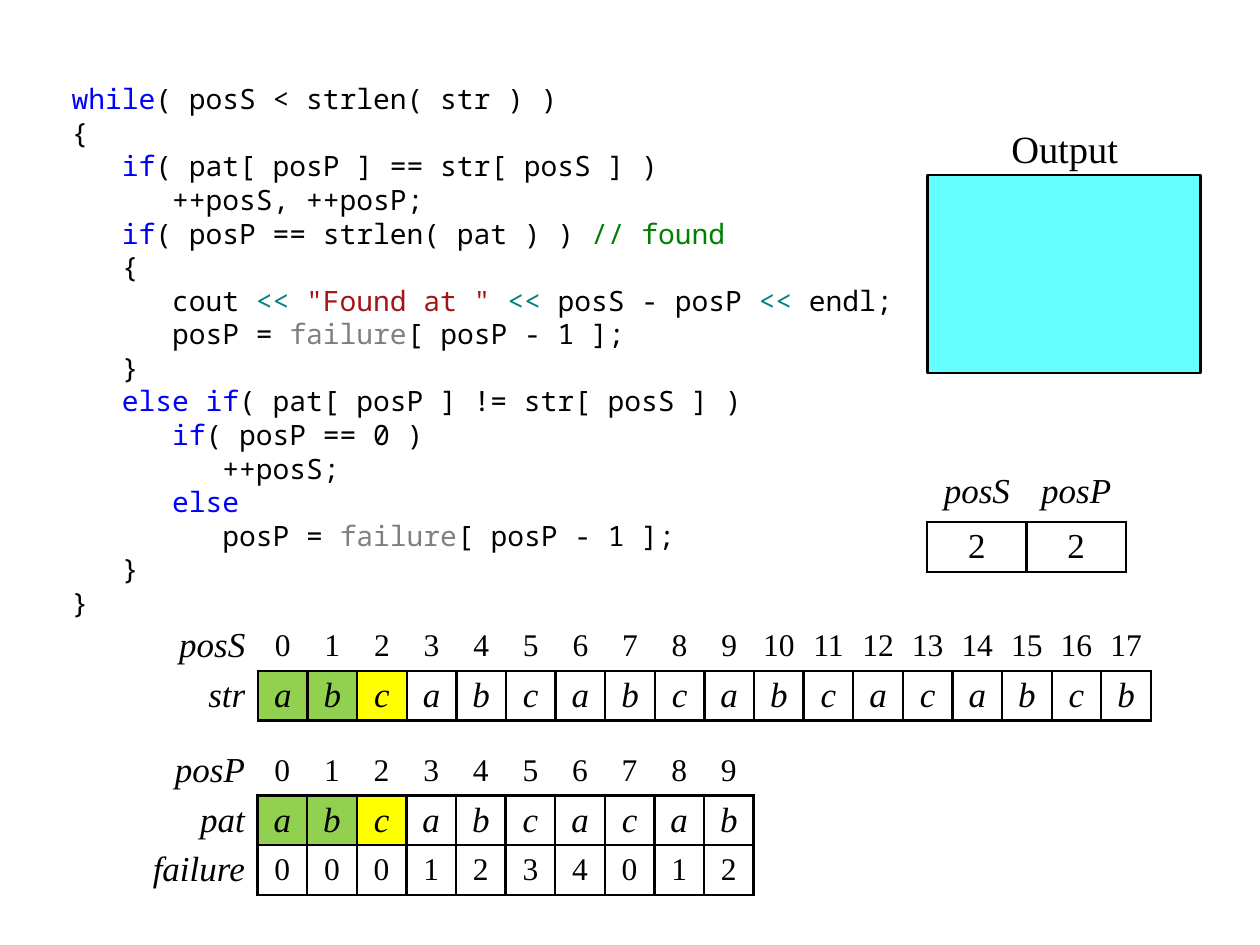
from lxml import etree
from pptx import Presentation
from pptx.dml.color import RGBColor
from pptx.enum.shapes import MSO_SHAPE
from pptx.enum.text import MSO_ANCHOR, PP_ALIGN
from pptx.oxml.ns import qn
from pptx.util import Cm, Inches, Pt

SERIF, MONO = "Times New Roman", "Noto Sans Mono"
BLACK, GREEN, YELLOW, WHITE, CYAN = "000000", "92D050", "FFFF00", "FFFFFF", "66FFFF"
HUES = {"key": "0000FF", "note": "008000", "op": "008080", "lit": "A31515", "name": "808080"}

# Code lines: plain strings are black, pairs name a hue
IF, OUT, FAIL = ("key", "if"), ("op", "<< "), ("name", "failure")
CODE = [
    [("key", "while"), "( posS < strlen( str ) )"],
    ["{"],
    ["   ", IF, "( pat[ posP ] == str[ posS ] )"],
    ["      ++posS, ++posP;"],
    ["   ", IF, "( posP == strlen( pat ) ) ", ("note", "// found")],
    ["   {"],
    ["      cout ", OUT, ("lit", '"Found at " '), OUT, "posS - posP ", OUT, "endl;"],
    ["      posP = ", FAIL, "[ posP - 1 ];"],
    ["   }"],
    ["   ", ("key", "else if"), "( pat[ posP ] != str[ posS ] )"],
    ["      ", IF, "( posP == 0 )"],
    ["         ++posS;"],
    ["      ", ("key", "else")],
    ["         posP = ", FAIL, "[ posP - 1 ];"],
    ["   }"],
    ["}"],
]

# Cell formats; boxed cells have lines on all sides
LABEL = {"size": 20, "italic": True, "align": PP_ALIGN.RIGHT, "pad": 0.1}
INDEX = {"size": 18}
CHAR = {"size": 20, "italic": True, "box": True}
NUM = {"size": 18, "box": True}
HEAD = {"size": 20, "italic": True, "anchor": MSO_ANCHOR.TOP}
VALUE = {"size": 20, "box": True}
MATCH = [GREEN, GREEN, YELLOW]

# Tables: place in inches, first column in grid units, other columns, rows
STR, PAT, FAILS = "abcabcabcabcacabcb", "abcabcacab", "0001234012"
TABLES = [
    {"at": (1.26, 4.93), "first": 2, "rest": 1, "rows": [
        ("posS", range(len(STR)), INDEX, []), ("str", STR, CHAR, MATCH)]},
    {"at": (7.36, 3.75), "first": 2, "rest": 2, "rows": [
        (None, ["posS", "posP"], HEAD, []), (None, "22", VALUE, [])]},
    {"at": (1.06, 5.92), "first": 2.5, "rest": 1, "rows": [
        ("posP", range(len(PAT)), INDEX, []), ("pat", PAT, CHAR, MATCH),
        ("failure", FAILS, NUM, [])]},
]


def rgb(hue):
    return RGBColor.from_string(hue)


def put(par, text, hue=BLACK, **form):
    run = par.add_run()
    run.text = str(text)
    for key, val in form.items():
        setattr(run.font, key, val)
    run.font.color.rgb = rgb(hue)


def text_box(at, pads, wrap=True):
    frame = slide.shapes.add_textbox(*map(Inches, at)).text_frame
    frame.word_wrap = wrap
    for side, pad in zip(("left", "top", "right", "bottom"), pads):
        setattr(frame, "margin_" + side, Inches(pad))
    return frame


def edge(cell, tag, on):
    line = etree.SubElement(cell._tc.get_or_add_tcPr(), qn("a:" + tag), w=str(Pt(1.5)))
    if on:
        fill = etree.SubElement(line, qn("a:solidFill"))
        etree.SubElement(fill, qn("a:srgbClr"), val=BLACK)
    else:
        etree.SubElement(line, qn("a:noFill"))


def add_grid(at, first, rest, rows):
    # Each cell is (text, format, fill)
    cells = []
    for label, items, form, fills in rows:
        row = [(label, LABEL, None)] if label else []
        row += [(t, form, fills[i] if i < len(fills) else WHITE if form.get("box") else None)
                for i, t in enumerate(items)]
        cells.append(row)
    high, wide = len(cells), len(cells[0])
    widths = [first] + [rest] * (wide - 1)
    table = slide.shapes.add_table(high, wide, *map(Inches, at), Cm(sum(widths)), Cm(high)).table
    table.first_row = table.horz_banding = False
    for col, width in zip(table.columns, widths):
        col.width = Cm(width)
    for row in table.rows:
        row.height = Cm(1)

    def boxed(r, c):
        return 0 <= r < high and 0 <= c < wide and cells[r][c][1].get("box", False)

    for r, row in enumerate(cells):
        for c, (text, form, fill) in enumerate(row):
            cell = table.cell(r, c)
            pad = Inches(form.get("pad", 0.04))
            look = {"margin_left": pad, "margin_right": pad, "margin_top": 0,
                    "margin_bottom": 0,
                    "vertical_anchor": form.get("anchor", MSO_ANCHOR.MIDDLE)}
            for key, val in look.items():
                setattr(cell, key, val)
            par = cell.text_frame.paragraphs[0]
            par.alignment = form.get("align", PP_ALIGN.CENTER)
            put(par, text, name=SERIF, size=Pt(form["size"]), italic=form.get("italic", False))
            # A line shows where either neighbour is boxed
            for tag, near in (("lnL", (r, c - 1)), ("lnR", (r, c + 1)),
                              ("lnT", (r - 1, c)), ("lnB", (r + 1, c))):
                edge(cell, tag, boxed(r, c) or boxed(*near))
            if fill:
                cell.fill.solid()
                cell.fill.fore_color.rgb = rgb(fill)
            else:
                cell.fill.background()


deck = Presentation()
deck.slide_width, deck.slide_height = Inches(10), Inches(7.5)
slide = deck.slides.add_slide(deck.slide_layouts[6])

# Code
frame = text_box((0.47, 0.6, 6.69, 4.33), (0.1, 0.05, 0.04, 0.05))
for i, line in enumerate(CODE):
    par = frame.add_paragraph() if i else frame.paragraphs[0]
    par.line_spacing = Pt(19.2)
    for part in line:
        kind, text = part if isinstance(part, tuple) else (None, part)
        put(par, text, HUES.get(kind, BLACK), name=MONO, size=Pt(16))

# Tables
for grid in TABLES:
    add_grid(**grid)

# Output panel
panel = slide.shapes.add_shape(MSO_SHAPE.RECTANGLE, *map(Inches, (7.36, 1.39, 2.17, 1.57)))
panel.shadow.inherit = False
panel.fill.solid()
panel.fill.fore_color.rgb = rgb(CYAN)
panel.line.color.rgb = rgb(BLACK)
panel.line.width = Pt(1.5)
title = text_box((7.76, 0.99, 1.38, 0.39), (0.1, 0, 0.1, 0.05)).paragraphs[0]
title.alignment = PP_ALIGN.CENTER
put(title, "Output", name=SERIF, size=Pt(22))

deck.save("out.pptx")
